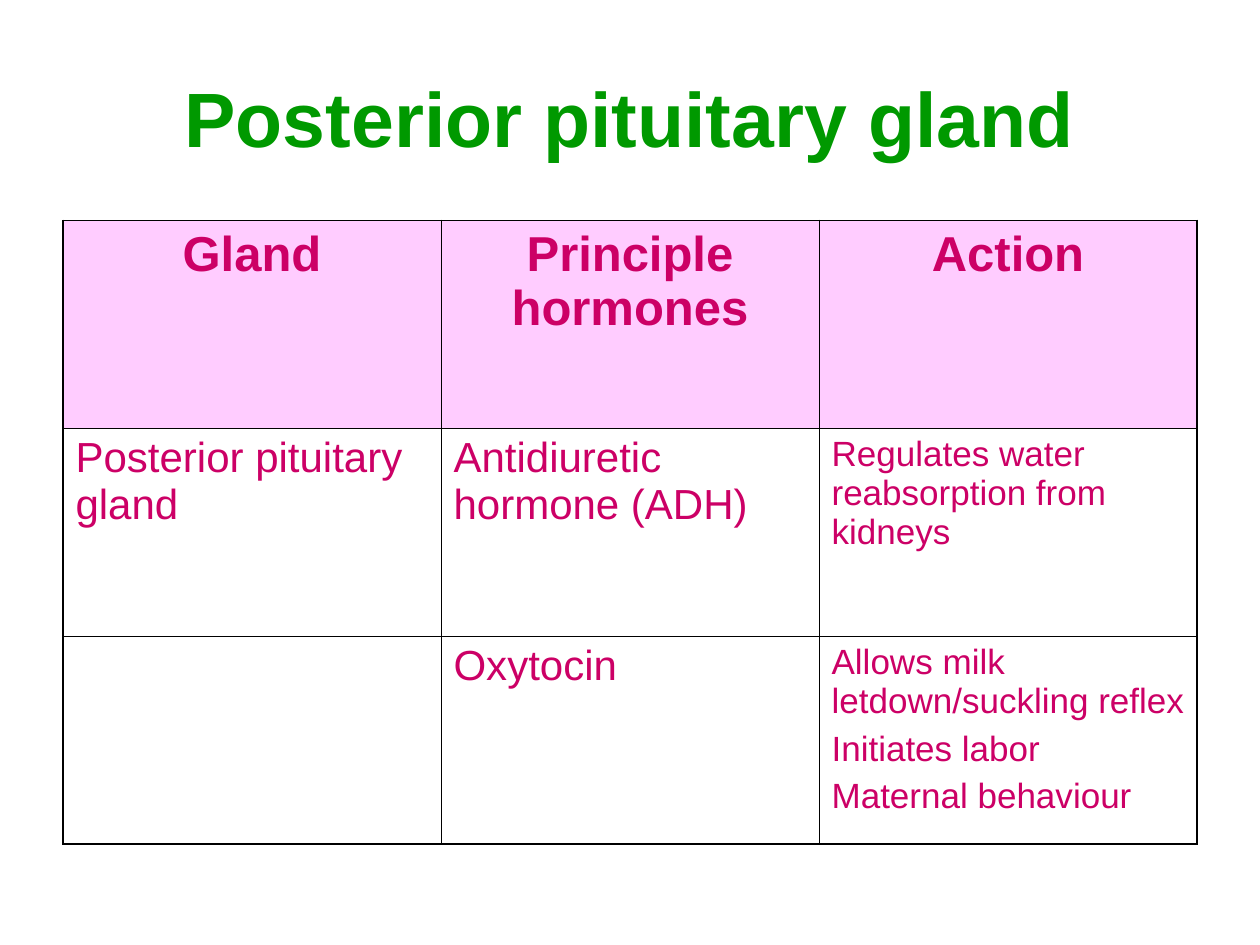
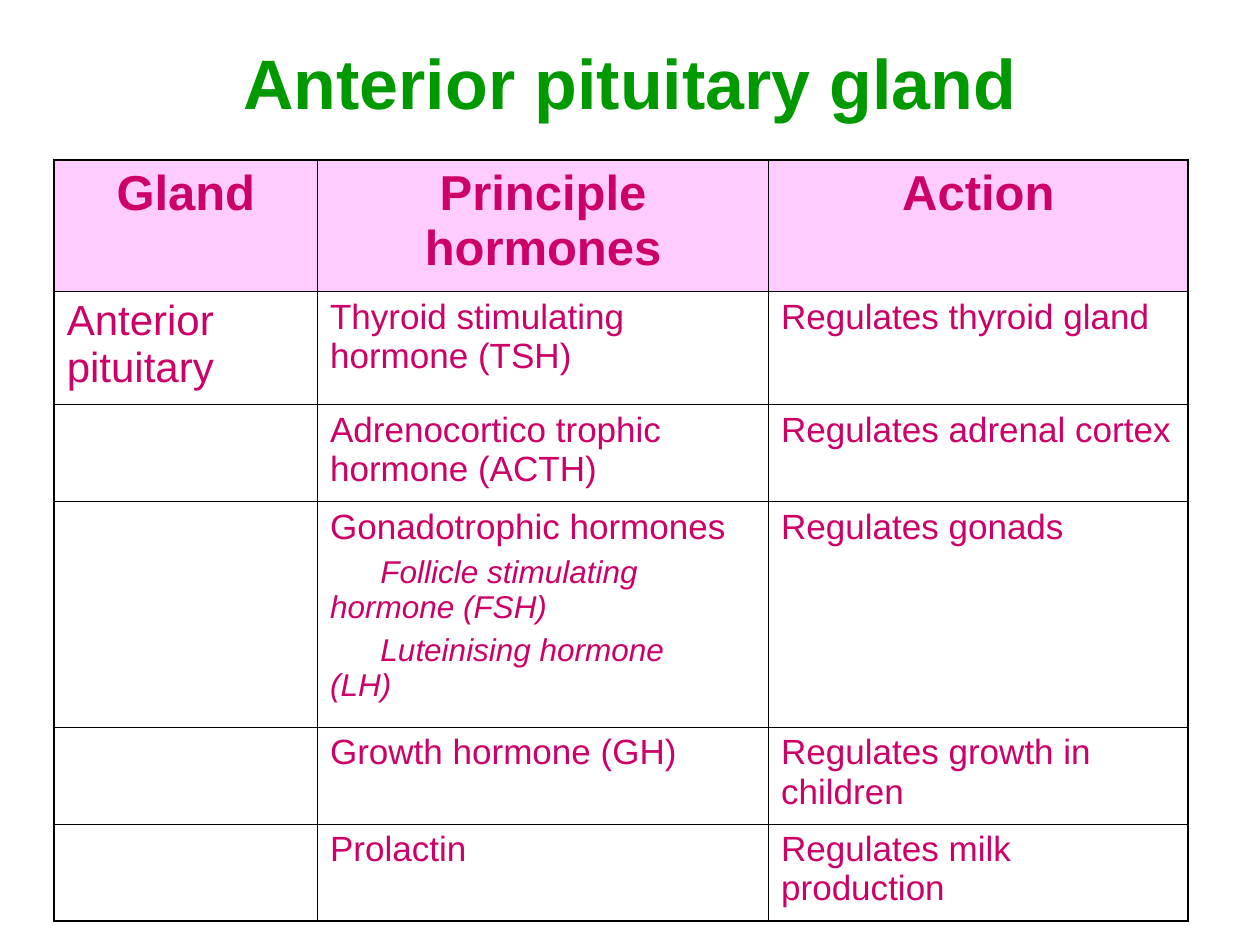
"""Build two slides that tabulate the hormones of the pituitary gland."""
from dataclasses import dataclass

import pptx
import pptx.dml.color
import pptx.enum.text
import pptx.oxml.ns
import pptx.util
from lxml import etree

Inches = pptx.util.Inches
Pt = pptx.util.Pt
RGBColor = pptx.dml.color.RGBColor
PP_ALIGN = pptx.enum.text.PP_ALIGN


@dataclass(frozen=True)
class Theme:
    font: str = "Arial"
    title: RGBColor = RGBColor(0x00, 0x99, 0x00)
    text: RGBColor = RGBColor(0xCC, 0x00, 0x66)
    header_fill: RGBColor = RGBColor(0xFF, 0xCC, 0xFF)
    border: str = "000000"
    outer_border: float = 1.08
    inner_border: float = 0.45
    header_size: float = 28
    large_size: float = 24
    body_size: float = 20
    detail_size: float = 18
    space_ratio: float = 0.25
    detail_indent: float = 0.4


THEME = Theme()


@dataclass(frozen=True)
class Line:
    text: str
    size: float = THEME.body_size
    header: bool = False
    detail: bool = False


@dataclass(frozen=True)
class GlandSlide:
    title: str
    title_size: float
    title_height: float
    left: float
    top: float
    columns: tuple[float, ...]
    row_heights: tuple[float, ...]
    rows: tuple[tuple[tuple[Line, ...], ...], ...]


def large(text: str) -> tuple[Line, ...]:
    return (Line(text, THEME.large_size),)


def body(*texts: str) -> tuple[Line, ...]:
    return tuple(Line(text) for text in texts)


def detail(text: str) -> Line:
    return Line(text, THEME.detail_size, detail=True)


HEADER = tuple(
    (Line(text, THEME.header_size, header=True),)
    for text in ("Gland", "Principle hormones", "Action")
)

GLANDS = (
    GlandSlide(
        "Posterior pituitary gland", 44, 1.25, 0.5, 1.75, (3, 3, 3), (1.65,) * 3,
        (
            HEADER,
            (
                large("Posterior pituitary gland"),
                large("Antidiuretic hormone (ADH)"),
                body("Regulates water reabsorption from kidneys"),
            ),
            (
                (),
                large("Oxytocin"),
                body("Allows milk letdown/suckling reflex", "Initiates labor",
                     "Maternal behaviour"),
            ),
        ),
    ),
    GlandSlide(
        "Anterior pituitary gland", 40, 0.69, 0.43, 1.27, (2.09, 3.58, 3.33),
        (1.04, 0.9, 0.77, 1.79, 0.77, 0.77),
        (
            HEADER,
            (large("Anterior pituitary"), body("Thyroid stimulating hormone (TSH)"),
             body("Regulates thyroid gland")),
            ((), body("Adrenocortico trophic hormone (ACTH)"),
             body("Regulates adrenal cortex")),
            (
                (),
                (
                    Line("Gonadotrophic hormones"),
                    detail("Follicle stimulating\vhormone (FSH)"),
                    detail("Luteinising hormone\v(LH)"),
                ),
                body("Regulates gonads"),
            ),
            ((), body("Growth hormone (GH)"), body("Regulates growth in children")),
            ((), body("Prolactin"), body("Regulates milk production")),
        ),
    ),
)


def style_font(paragraph, size: float, color: RGBColor, bold: bool) -> None:
    font = paragraph.font
    font.name, font.size, font.bold = THEME.font, Pt(size), bold
    font.color.rgb = color
    for run in paragraph.runs:
        run.font.color.rgb = color


def add_title(slide, gland: GlandSlide) -> None:
    box = slide.shapes.add_textbox(
        Inches(0.5), Inches(0.3), Inches(9), Inches(gland.title_height))
    frame = box.text_frame
    frame.word_wrap = True
    frame.vertical_anchor = pptx.enum.text.MSO_ANCHOR.MIDDLE
    heading = frame.paragraphs[0]
    heading.text = gland.title
    heading.alignment = PP_ALIGN.CENTER
    style_font(heading, gland.title_size, THEME.title, True)


def write_lines(frame, lines: tuple[Line, ...]) -> None:
    for index, line in enumerate(lines):
        paragraph = frame.add_paragraph() if index else frame.paragraphs[0]
        paragraph.text = line.text
        paragraph.alignment = PP_ALIGN.CENTER if line.header else PP_ALIGN.LEFT
        if index:
            paragraph.space_before = Pt(line.size * THEME.space_ratio)
        if line.detail:
            properties = paragraph._p.get_or_add_pPr()
            properties.set("marL", "0")
            properties.set("indent", str(Inches(THEME.detail_indent)))
        style_font(paragraph, line.size, THEME.text, line.header)
        paragraph.font.italic = line.detail


def set_borders(cell, outer_sides: dict[str, bool]) -> None:
    qn = pptx.oxml.ns.qn
    properties = cell._tc.get_or_add_tcPr()
    for index, (side, outer) in enumerate(outer_sides.items()):
        width = THEME.outer_border if outer else THEME.inner_border
        edge = etree.Element(qn(f"a:{side}"), w=str(Pt(width)))
        fill = etree.SubElement(edge, qn("a:solidFill"))
        etree.SubElement(fill, qn("a:srgbClr"), val=THEME.border)
        properties.insert(index, edge)


def add_hormone_table(slide, gland: GlandSlide) -> None:
    last_row, last_column = len(gland.rows) - 1, len(gland.columns) - 1
    table = slide.shapes.add_table(
        last_row + 1, last_column + 1, Inches(gland.left), Inches(gland.top),
        Inches(sum(gland.columns)), Inches(sum(gland.row_heights))).table
    table.first_row = table.horz_banding = False
    for column, width in zip(table.columns, gland.columns):
        column.width = Inches(width)
    for r, (height, row) in enumerate(zip(gland.row_heights, gland.rows)):
        table.rows[r].height = Inches(height)
        for c, lines in enumerate(row):
            cell = table.cell(r, c)
            if r == 0:
                cell.fill.solid()
                cell.fill.fore_color.rgb = THEME.header_fill
            else:
                cell.fill.background()
            set_borders(cell, {"lnL": c == 0, "lnR": c == last_column,
                               "lnT": r == 0, "lnB": r == last_row})
            write_lines(cell.text_frame, lines)


def main() -> None:
    presentation = pptx.Presentation()
    presentation.slide_width = Inches(10)
    presentation.slide_height = Inches(7.5)
    for gland in GLANDS:
        slide = presentation.slides.add_slide(presentation.slide_layouts[6])
        add_title(slide, gland)
        add_hormone_table(slide, gland)
    presentation.save("out.pptx")


if __name__ == "__main__":
    main()
